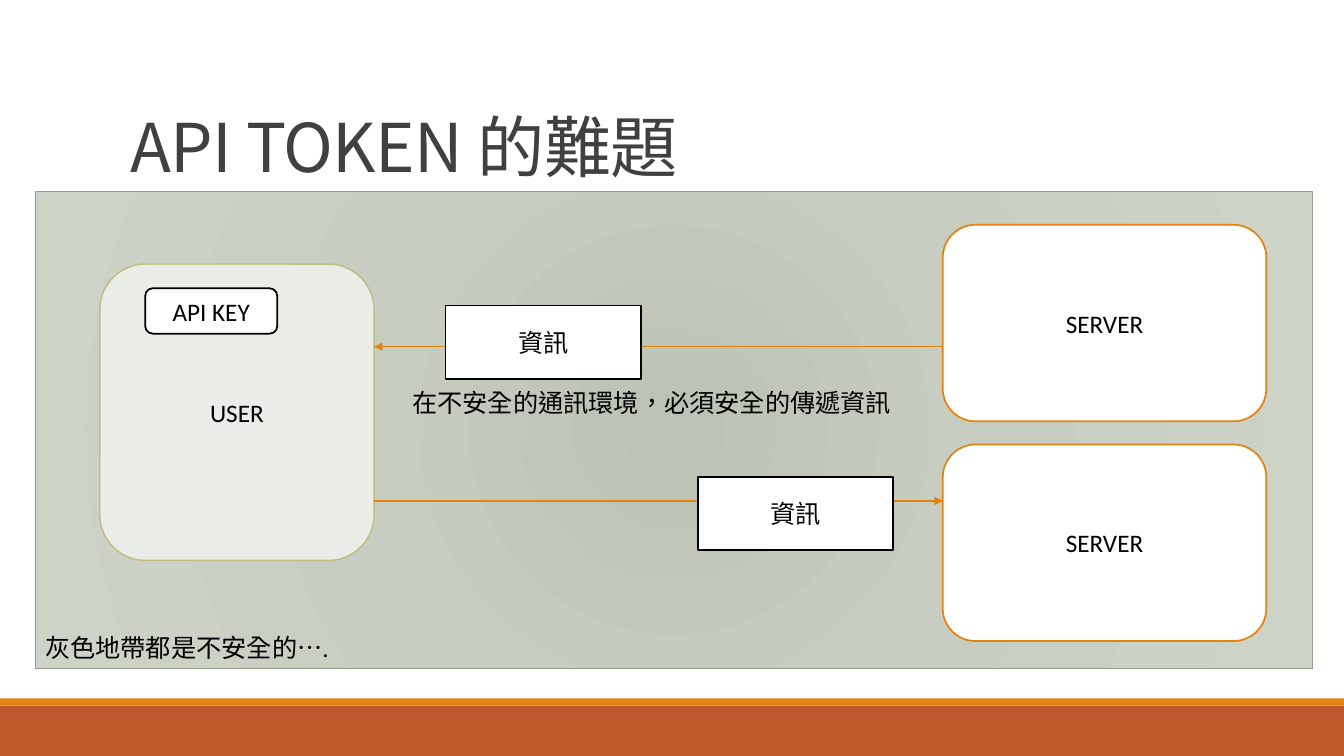
from dataclasses import dataclass

from pptx import Presentation
from pptx import util as u
from pptx.dml.color import RGBColor
from pptx.enum import lang, shapes, text
from pptx.oxml import parse_xml
from pptx.oxml.ns import nsdecls

RECT = shapes.MSO_SHAPE.RECTANGLE
ROUND = shapes.MSO_SHAPE.ROUNDED_RECTANGLE


@dataclass(frozen=True)
class Theme:
    """Colours, fonts and type sizes of the deck."""
    ink: str = "000000"
    title: str = "404040"
    white: str = "FFFFFF"
    orange: str = "E48312"
    rust: str = "BD582C"
    user_fill: str = "EAECE7"
    user_line: str = "C2BC80"
    zone_line: str = "94A088"
    zone_stops: tuple = ((0, "BBC3B5"), (45, "C7CDC1"), (100, "CDD4C7"))
    font: str = "Calibri"
    cjk_font: str = "Noto Sans CJK SC"
    body_size: float = 18
    title_size: float = 48


class Deck:
    """Draws styled elements on the current slide."""

    def __init__(self, prs, theme):
        self.theme = theme
        self.slide = prs.slides.add_slide(prs.slide_layouts[6])

    def set_text(self, tf, words, frame, para, **font):
        """Fill a text frame with one formatted run."""
        t = self.theme
        p = tf.paragraphs[0]
        r = p.add_run()
        r.text = words
        style = {"size": u.Pt(t.body_size), "name": t.font,
                 "language_id": lang.MSO_LANGUAGE_ID.TRADITIONAL_CHINESE}
        color = font.pop("color", t.ink)
        for target, values in ((tf, frame), (p, para), (r.font, {**style, **font})):
            for key, value in values.items():
                setattr(target, key, value)
        r.font.color.rgb = RGBColor.from_string(color)
        r._r.get_or_add_rPr().append(
            parse_xml(f'<a:ea {nsdecls("a")} typeface="{t.cjk_font}"/>'))
        return r

    def box(self, kind, at, fill=None, line=None, width=1.25, words=None):
        """Add a preset shape with an optional centred label."""
        sp = self.slide.shapes.add_shape(kind, *map(u.Inches, at))
        sp.shadow.inherit = False
        if fill:
            sp.fill.solid()
            sp.fill.fore_color.rgb = RGBColor.from_string(fill)
        if line:
            sp.line.color.rgb = RGBColor.from_string(line)
            sp.line.width = u.Pt(width)
        else:
            sp.line.fill.background()
        if words:
            self.set_text(sp.text_frame, words,
                          {"vertical_anchor": text.MSO_ANCHOR.MIDDLE, "word_wrap": True},
                          {"alignment": text.PP_ALIGN.CENTER})
        return sp

    def zone(self, at):
        """Add the shaded area with a circular gradient."""
        sp = self.box(RECT, at, line=self.theme.zone_line, width=1)
        stops = "".join(
            f'<a:gs pos="{pos * 1000}"><a:srgbClr val="{color}"/></a:gs>'
            for pos, color in self.theme.zone_stops)
        sp._element.spPr.find(".//{*}prstGeom").addnext(parse_xml(
            f'<a:gradFill {nsdecls("a")} rotWithShape="1"><a:gsLst>{stops}</a:gsLst>'
            '<a:path path="circle"><a:fillToRect l="100000" t="100000" '
            'r="100000" b="100000"/></a:path></a:gradFill>'))

    def label(self, at, words, wrap=True, **font):
        """Add a plain text box."""
        sp = self.slide.shapes.add_textbox(*map(u.Inches, at))
        self.set_text(sp.text_frame, words, {"word_wrap": wrap}, {}, **font)

    def title(self, at, words):
        """Add the bottom-anchored slide title."""
        t = self.theme
        sp = self.slide.shapes.add_textbox(*map(u.Inches, at))
        r = self.set_text(sp.text_frame, words,
                          {"word_wrap": True, "vertical_anchor": text.MSO_ANCHOR.BOTTOM},
                          {"line_spacing": 0.85}, size=u.Pt(t.title_size),
                          name=t.cjk_font, color=t.title)
        r._r.get_or_add_rPr().set("spc", "-50")

    def arrow(self, start, end, y):
        """Add a level arrow that points at its end."""
        sp = self.slide.shapes.add_connector(
            shapes.MSO_CONNECTOR.STRAIGHT, *map(u.Inches, (start, y, end, y)))
        sp.line.color.rgb = RGBColor.from_string(self.theme.orange)
        sp.line.width = u.Pt(1)
        sp.line._get_or_add_ln().append(
            parse_xml(f'<a:tailEnd {nsdecls("a")} type="triangle"/>'))
        sp._element.spPr.append(parse_xml(f'<a:effectLst {nsdecls("a")}/>'))


def main():
    """Build and save the slide."""
    prs = Presentation()
    prs.slide_width, prs.slide_height = u.Inches(13.33), u.Inches(7.5)
    t = Theme()
    deck = Deck(prs, t)
    user_right, server_left = 3.71, 9.35

    deck.box(RECT, (0, 7, 13.33, 0.5), t.rust)
    deck.box(RECT, (0, 6.93, 13.33, 0.07), t.orange)
    deck.zone((0.35, 1.9, 12.67, 4.73))
    deck.title((1.2, 0.31, 11, 1.59), "API TOKEN 的難題")

    deck.box(ROUND, (0.99, 2.62, 2.72, 2.94), t.user_fill, t.user_line, 1, "USER")
    deck.box(ROUND, (1.44, 2.86, 1.31, 0.45), t.white, t.ink, words="API KEY")
    for top in (2.23, 4.41):
        deck.box(ROUND, (server_left, top, 3.21, 1.95), t.white, t.orange, words="SERVER")

    deck.arrow(server_left, user_right, 3.44)
    deck.arrow(user_right, server_left, 4.97)
    for left, top in ((4.42, 3.03), (6.92, 4.73)):
        deck.box(RECT, (left, top, 1.94, 0.73), t.white, t.ink, words="資訊")

    deck.label((3.99, 3.79, 5.18, 0.4), "在不安全的通訊環境，必須安全的傳遞資訊")
    deck.label((0.35, 6.22, 2.96, 0.4), "灰色地帶都是不安全的….", wrap=False)
    prs.save("out.pptx")


if __name__ == "__main__":
    main()
